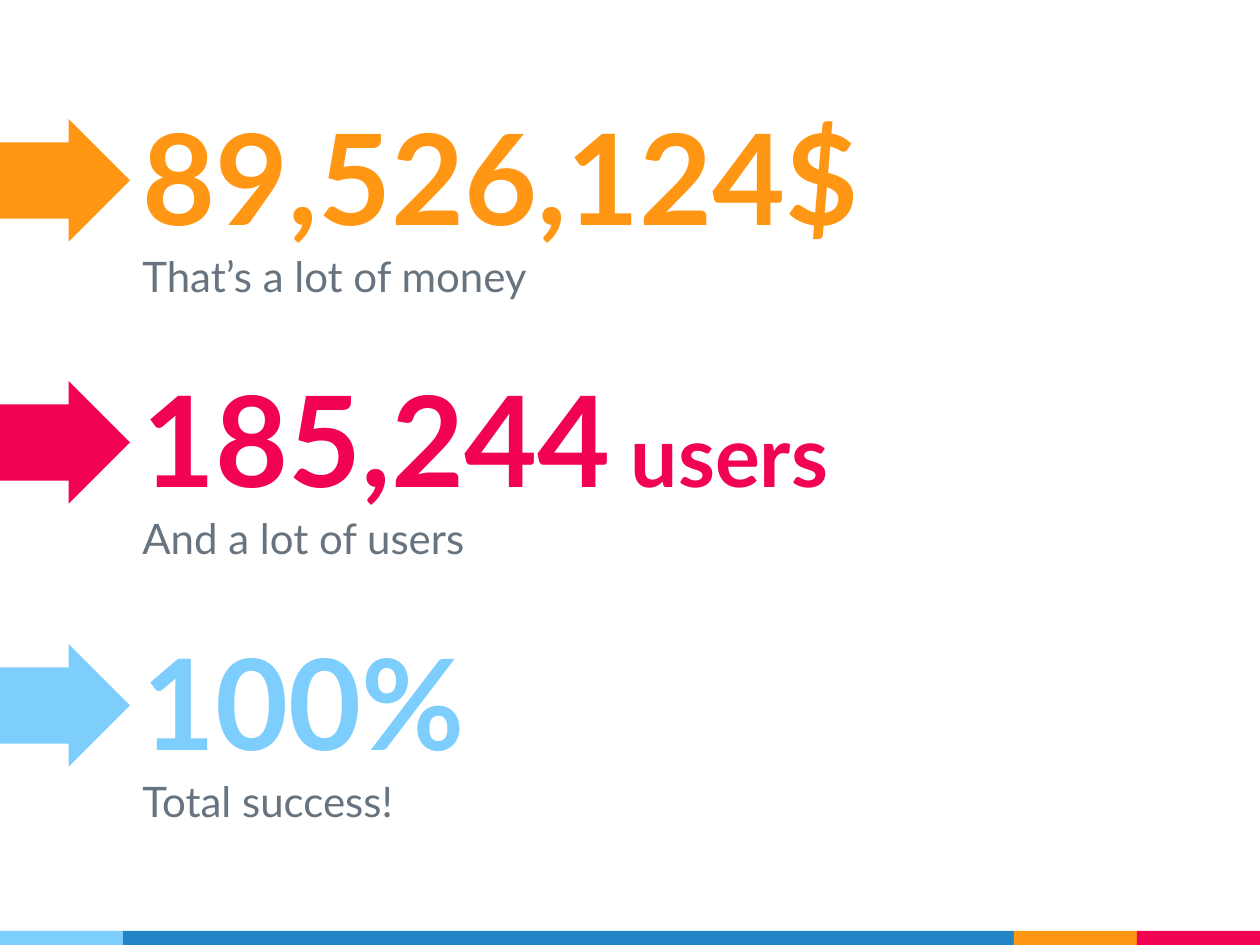
from dataclasses import dataclass

from pptx import Presentation
from pptx.dml.color import RGBColor
from pptx.enum.shapes import MSO_SHAPE
from pptx.enum.text import MSO_ANCHOR
from pptx.shapes.autoshape import Shape
from pptx.slide import Slide
from pptx.text.text import Font
from pptx.util import Inches, Pt

PX = 914400 / 126
WIDE, HIGH = 1260, 945
ORANGE, PINK, SKY, BLUE, GREY = "FF9715", "F20253", "7ECEFD", "2185C5", "677480"
LEFT, SPAN = 130, 1036
BAR = 14


@dataclass
class Stat:
    value: str
    unit: str
    note: str
    color: str


@dataclass
class Band:
    left: int
    right: int
    color: str


STATS = [
    Stat("89,526,124$", "", "That’s a lot of money", ORANGE),
    Stat("185,244", " users", "And a lot of users", PINK),
    Stat("100%", "", "Total success!", SKY),
]
BANDS = [
    Band(0, 123, SKY),
    Band(123, 1014, BLUE),
    Band(1014, 1137, ORANGE),
    Band(1137, WIDE, PINK),
]


def px(size: int) -> int:
    return round(size * PX)


def rgb(color: str) -> RGBColor:
    return RGBColor.from_string(color)


def solid(slide: Slide, kind: MSO_SHAPE, box: tuple[int, int, int, int], color: str) -> Shape:
    shape = slide.shapes.add_shape(kind, *map(px, box))
    shape.shadow.inherit = False
    shape.fill.solid()
    shape.fill.fore_color.rgb = rgb(color)
    shape.line.fill.background()
    return shape


def style(font: Font, size: int, color: str, bold: bool = False) -> None:
    font.name = "Lato"
    font.size = Pt(size)
    font.bold = bold
    font.color.rgb = rgb(color)


def label(slide: Slide, top: int, height: int, anchor: MSO_ANCHOR):
    frame = slide.shapes.add_textbox(*map(px, (LEFT, top, SPAN, height))).text_frame
    frame.word_wrap = True
    frame.vertical_anchor = anchor
    frame.margin_left = frame.margin_right = Inches(0.1)
    frame.margin_top = frame.margin_bottom = Inches(0.1)
    return frame.paragraphs[0]


def draw(slide: Slide, stat: Stat, top: int) -> None:
    title = label(slide, top, 165, MSO_ANCHOR.BOTTOM)
    for text, size in ((stat.value, 72), (stat.unit, 48)):
        if text:
            run = title.add_run()
            run.text = text
            style(run.font, size, stat.color, True)

    note = label(slide, top + 140, 86, MSO_ANCHOR.TOP)
    note.text = stat.note
    note.space_before = Pt(6)
    style(note.font, 24, GREY)

    arrow = solid(slide, MSO_SHAPE.RIGHT_ARROW, (0, top + 21, LEFT, 123), stat.color)
    arrow.adjustments[0] = 0.62
    arrow.adjustments[1] = 0.5


def main() -> None:
    deck = Presentation()
    deck.slide_width, deck.slide_height = px(WIDE), px(HIGH)
    slide = deck.slides.add_slide(deck.slide_layouts[6])
    for band in BANDS:
        box = (band.left, HIGH - BAR, band.right - band.left, BAR)
        solid(slide, MSO_SHAPE.RECTANGLE, box, band.color)
    for row, stat in enumerate(STATS):
        draw(slide, stat, 98 + row * 525 // 2)
    deck.save("out.pptx")


if __name__ == "__main__":
    main()
